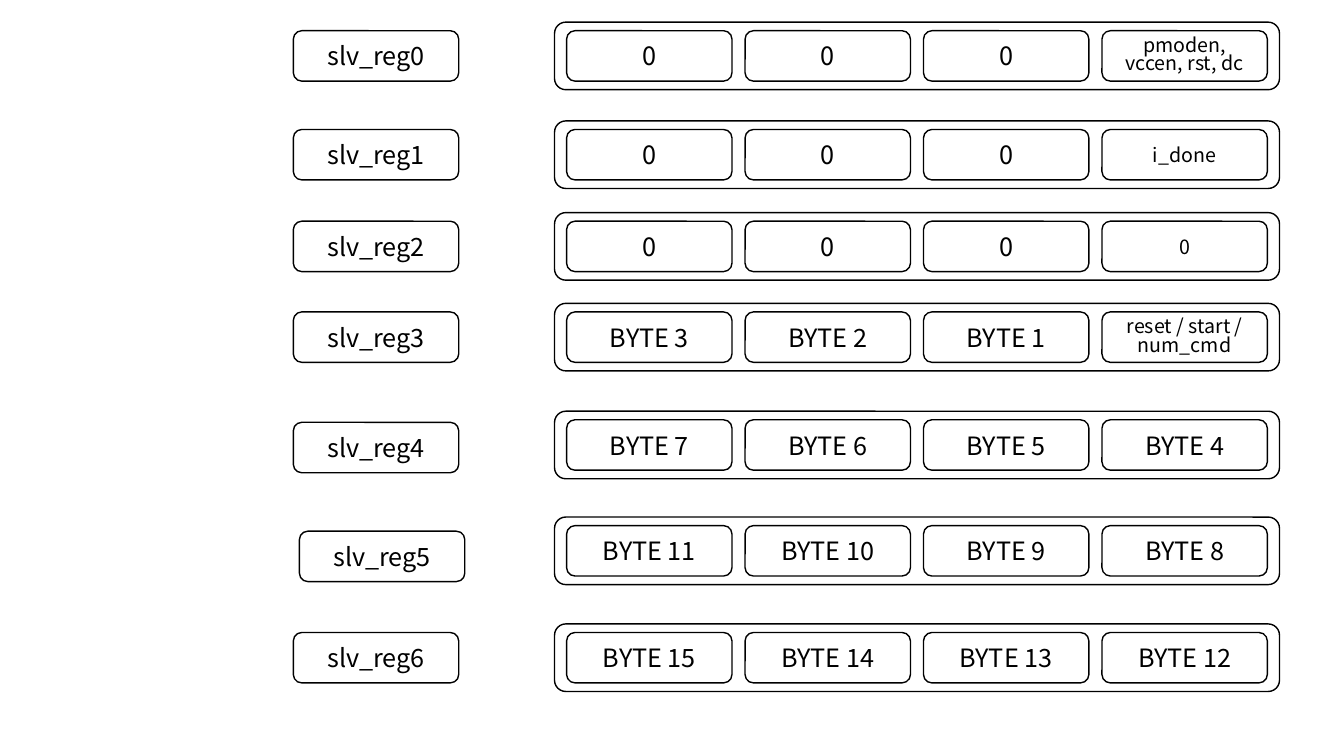
"""Build a slide that maps seven slave registers to their four bytes."""
from pptx import Presentation
from pptx.dml.color import RGBColor
from pptx.enum.shapes import MSO_SHAPE
from pptx.enum.text import MSO_ANCHOR, PP_ALIGN
from pptx.util import Inches, Pt

ROUNDED = MSO_SHAPE.ROUNDED_RECTANGLE
MIDDLE = MSO_ANCHOR.MIDDLE
CENTER = PP_ALIGN.CENTER

FONT = "Noto Sans CJK KR"
COLORS = {"fill": "FFFFFF", "ink": "000000"}

ZEROS = ["0", "0", "0"]
REGISTERS = [
    {"top": 0.22, "cells": ZEROS + ["pmoden, vccen, rst, dc"], "last": {"size": 14, "spacing": 0.8}},
    {"top": 1.2, "cells": ZEROS + ["i_done"], "last": {"size": 14}},
    {"top": 2.11, "cells": ZEROS + ["0"], "last": {"size": 14}},
    {"top": 3.01, "cells": ["BYTE 3", "BYTE 2", "BYTE 1", "reset / start / num_cmd"],
     "last": {"size": 14, "spacing": 0.8}},
    {"top": 4.08, "cells": ["BYTE 7", "BYTE 6", "BYTE 5", "BYTE 4"], "label_at": (2.91, 4.19)},
    {"top": 5.13, "cells": ["BYTE 11", "BYTE 10", "BYTE 9", "BYTE 8"], "label_at": (2.97, 5.27)},
    {"top": 6.19, "cells": ["BYTE 15", "BYTE 14", "BYTE 13", "BYTE 12"]},
]

LABEL_LEFT = 2.91
FRAME_LEFT, FRAME_W, FRAME_H = 5.5, 7.19, 0.67
CELL_LEFT, CELL_W, CELL_H = 5.62, 1.64, 0.5
CELL_STEP = (FRAME_W - 2 * (CELL_LEFT - FRAME_LEFT) - CELL_W) / 3
CELL_INSET = (FRAME_H - CELL_H) / 2


def add_box(shapes, left, top, width=CELL_W, height=CELL_H):
    sp = shapes.add_shape(ROUNDED, Inches(left), Inches(top), Inches(width), Inches(height))
    sp.shadow.inherit = False
    sp.fill.solid()
    sp.fill.fore_color.rgb = RGBColor.from_string(COLORS["fill"])
    sp.line.color.rgb = RGBColor.from_string(COLORS["ink"])
    sp.line.width = Pt(1)
    return sp


def set_text(sp, text, size=18, spacing=1.0):
    tf = sp.text_frame
    tf.word_wrap = True
    tf.vertical_anchor = MIDDLE
    p = tf.paragraphs[0]
    p.alignment = CENTER
    p.line_spacing = spacing
    r = p.add_run()
    r.text = text
    r.font.name = FONT
    r.font.size = Pt(size)
    r.font.color.rgb = RGBColor.from_string(COLORS["ink"])


def main():
    prs = Presentation()
    prs.slide_width, prs.slide_height = Inches(13.33), Inches(7.5)
    s = prs.slides.add_slide(prs.slide_layouts[6])
    for number, register in enumerate(REGISTERS):
        top = register["top"]
        cell_top = top + CELL_INSET
        add_box(s.shapes, FRAME_LEFT, top, FRAME_W, FRAME_H)
        for col, text in enumerate(register["cells"]):
            style = register.get("last", {}) if col == 3 else {}
            set_text(add_box(s.shapes, CELL_LEFT + col * CELL_STEP, cell_top), text, **style)
        label_left, label_top = register.get("label_at", (LABEL_LEFT, cell_top))
        set_text(add_box(s.shapes, label_left, label_top), f"slv_reg{number}")
    prs.save("out.pptx")


if __name__ == "__main__":
    main()
